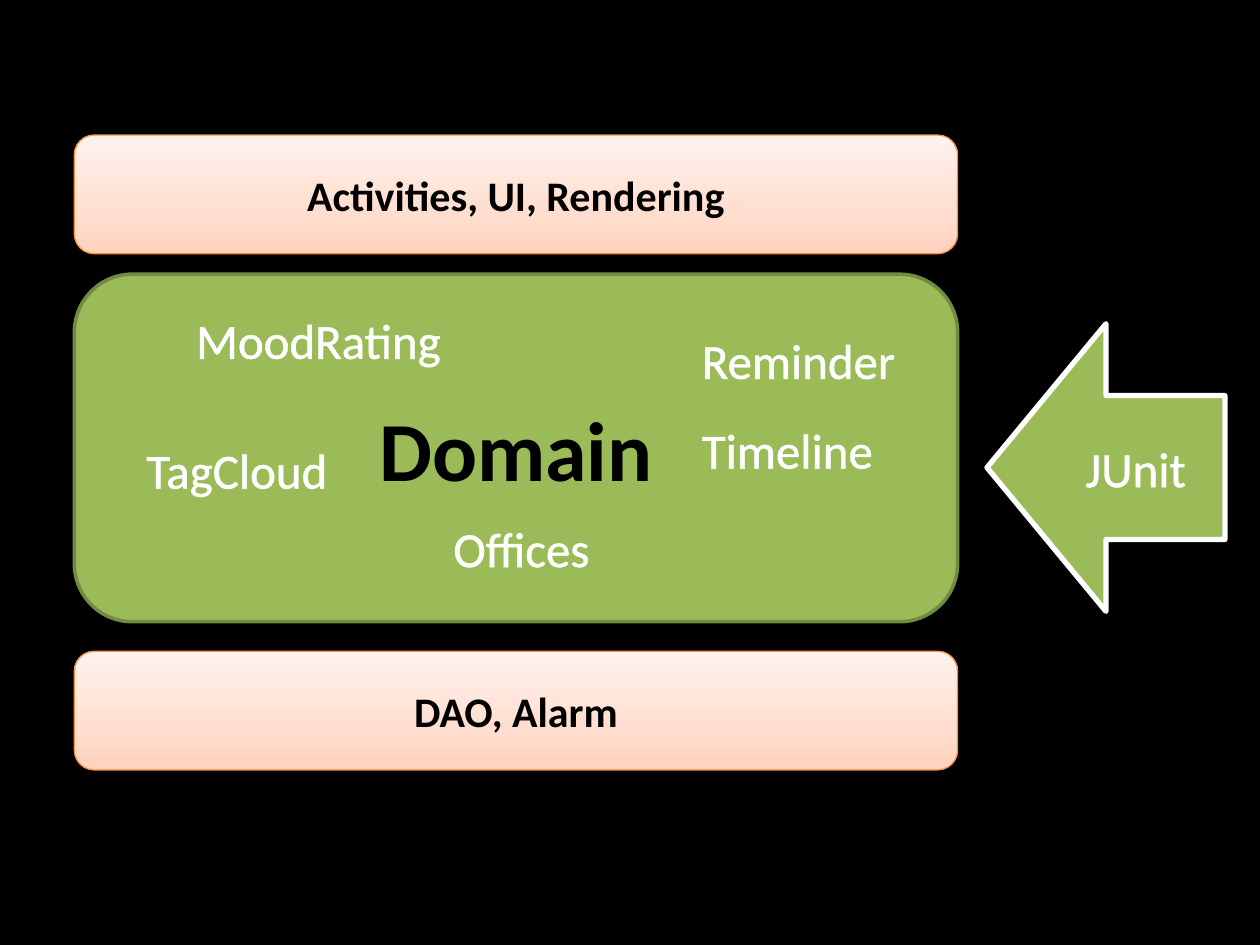
from copy import deepcopy

from lxml import etree
from pptx import Presentation
from pptx.dml.color import RGBColor
from pptx.enum.shapes import MSO_SHAPE
from pptx.enum.text import MSO_ANCHOR, MSO_AUTO_SIZE, PP_ALIGN
from pptx.oxml import parse_xml
from pptx.oxml.ns import qn
from pptx.util import Pt

RECTANGLE = MSO_SHAPE.RECTANGLE
ROUNDED = MSO_SHAPE.ROUNDED_RECTANGLE
LEFT_ARROW = MSO_SHAPE.LEFT_ARROW
MIDDLE = MSO_ANCHOR.MIDDLE
CENTER = PP_ALIGN.CENTER
FIT_SHAPE = MSO_AUTO_SIZE.SHAPE_TO_FIT_TEXT

BLACK, WHITE, GREEN = "000000", "FFFFFF", "9BBB59"
NAMESPACE = 'xmlns:a="http://schemas.openxmlformats.org/drawingml/2006/main"'
SHADOW = (f'<a:outerShdw {NAMESPACE} blurRad="40000" dist="20000" dir="5400000" '
          'rotWithShape="0"><a:srgbClr val="000000"><a:alpha val="38000"/>'
          '</a:srgbClr></a:outerShdw>')
TEXT_OUTLINE = (f'<a:ln {NAMESPACE} w="18415"><a:solidFill><a:srgbClr val="FFFFFF"/>'
                '</a:solidFill><a:prstDash val="solid"/></a:ln>')


def color(value):
    return RGBColor.from_string(value)


def write(shape, text, size, text_color, bold=False, outlined=False):
    para = shape.text_frame.paragraphs[0]
    para.text = text
    span = para.runs[0]
    span.font.name = "Calibri"
    span.font.size = Pt(size)
    span.font.bold = bold
    span.font.color.rgb = color(text_color)
    if outlined:
        span.font._element.insert(0, parse_xml(TEXT_OUTLINE))
    return para


deck = Presentation()
deck.slide_width, deck.slide_height = Pt(720), Pt(540)
page = deck.slides.add_slide(deck.slide_layouts[6])

# Backdrop, layers from top to bottom, and the test arrow
# kind, left, top, width, height, fill (None = gradient), line, line width,
# shadow, text, size, text colour, bold
shapes = [
    (RECTANGLE, 0, 0, 720, 540, BLACK, BLACK, 2, False, "", 0, BLACK, False),
    (ROUNDED, 42.5, 77.2, 504.7, 67.8, None, "F69240", 0.75, True,
     "Activities, UI, Rendering", 24, BLACK, True),
    (ROUNDED, 42.5, 156.7, 504.7, 198.6, GREEN, "738A42", 2, False,
     "Domain", 48, BLACK, True),
    (ROUNDED, 42.5, 372.2, 504.7, 67.8, None, "F69240", 0.75, True,
     "DAO, Alarm", 24, BLACK, True),
    (LEFT_ARROW, 564, 185, 136, 164.4, GREEN, WHITE, 3, True,
     "JUnit", 28, WHITE, False),
]
for (kind, left, top, width, height, fill, line, line_width,
     shadow, text, size, text_color, bold) in shapes:
    shape = page.shapes.add_shape(kind, Pt(left), Pt(top), Pt(width), Pt(height))
    shape.shadow.inherit = False
    properties = shape._element.spPr
    if fill:
        shape.fill.solid()
        shape.fill.fore_color.rgb = color(fill)
    else:
        shape.fill.gradient()
        shape.fill.gradient_angle = 90
        first_stop = properties.find(".//" + qn("a:gs"))
        first_stop.addnext(deepcopy(first_stop))
        stops = [(0, "FFD2BD"), (0.35, "FFDED0"), (1, "FFF2ED")]
        for stop, (position, tint) in zip(shape.fill.gradient_stops, stops):
            stop.position = position
            stop.color.rgb = color(tint)
    shape.line.color.rgb = color(line)
    shape.line.width = Pt(line_width)
    if shadow:
        properties.find(qn("a:effectLst")).append(parse_xml(SHADOW))
    if text:
        shape.text_frame.vertical_anchor = MIDDLE
        para = write(shape, text, size, text_color, bold, outlined=kind == LEFT_ARROW)
        para.alignment = CENTER

# Domain classes
labels = [
    ("MoodRating", 105, 173.5, 160),
    ("Reminder", 394, 185, 126),
    ("TagCloud", 76.5, 247.7, 119),
    ("Timeline", 394, 236.2, 113),
    ("Offices", 252, 292.5, 93.5),
]
for text, left, top, width in labels:
    box = page.shapes.add_textbox(Pt(left), Pt(top), Pt(width), Pt(41.2))
    box.text_frame.word_wrap = False
    box.text_frame.auto_size = FIT_SHAPE
    write(box, text, 28, WHITE, outlined=True)

deck.save("out.pptx")
